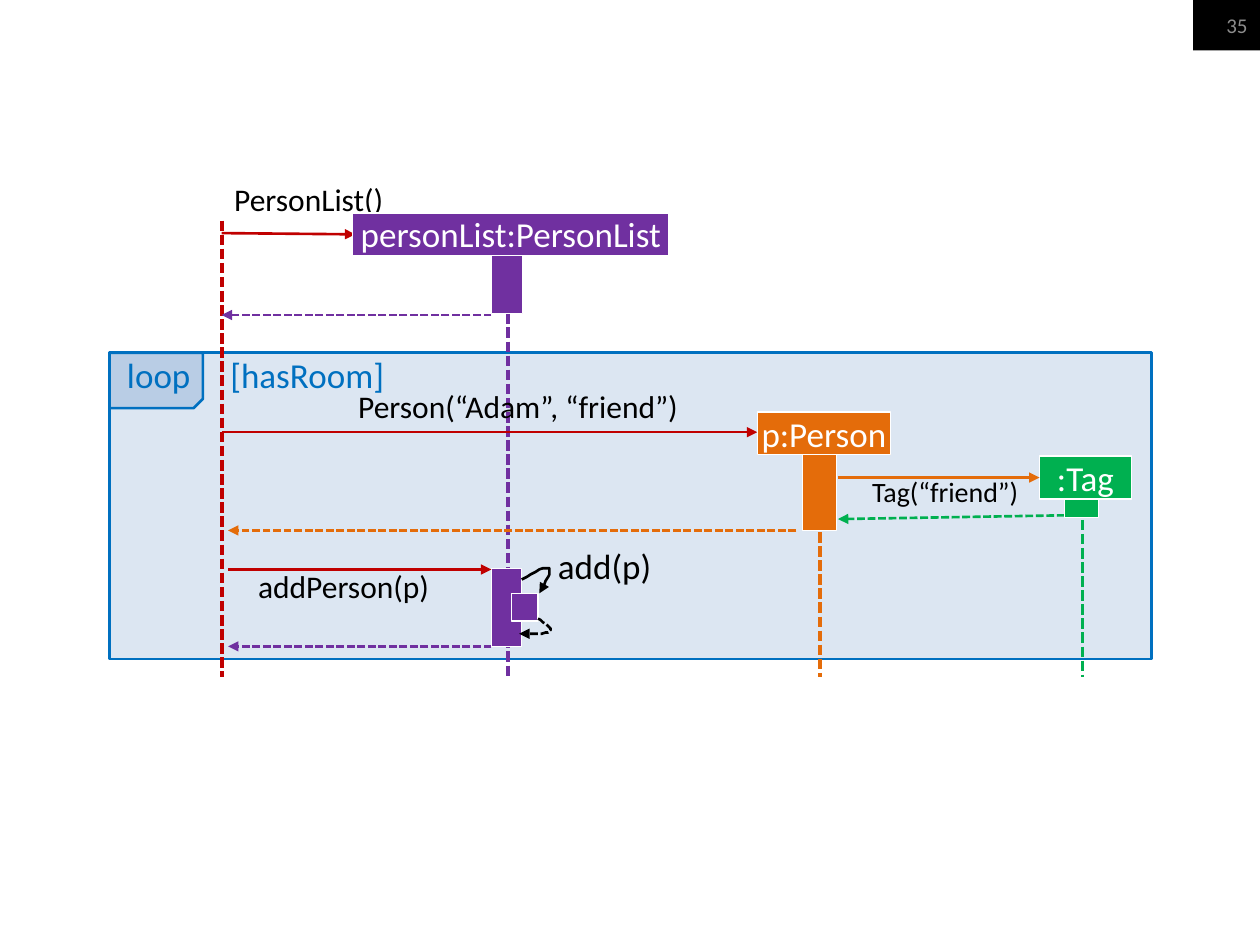
"""Build a sequence diagram slide on a grid of 1000 columns by 750 rows."""
from dataclasses import dataclass

from lxml import etree
from pptx import Presentation
from pptx.dml.color import RGBColor
from pptx.enum.dml import MSO_LINE
from pptx.enum.shapes import MSO_CONNECTOR, MSO_SHAPE
from pptx.enum.text import MSO_ANCHOR, MSO_AUTO_SIZE, PP_ALIGN
from pptx.oxml.ns import qn
from pptx.util import Inches, Pt

RECTANGLE, SNIPPED = MSO_SHAPE.RECTANGLE, MSO_SHAPE.SNIP_1_RECTANGLE
STRAIGHT, DASH = MSO_CONNECTOR.STRAIGHT, MSO_LINE.SQUARE_DOT
LEFT, CENTER, RIGHT = PP_ALIGN.LEFT, PP_ALIGN.CENTER, PP_ALIGN.RIGHT
TOP, MIDDLE = MSO_ANCHOR.TOP, MSO_ANCHOR.MIDDLE
GROW, FIXED = MSO_AUTO_SIZE.SHAPE_TO_FIT_TEXT, MSO_AUTO_SIZE.NONE

WHITE = RGBColor(0xFF, 0xFF, 0xFF)
BLACK = RGBColor(0x00, 0x00, 0x00)
GREY = RGBColor(0x8C, 0x8C, 0x8C)
BLUE = RGBColor(0x00, 0x70, 0xC0)
PALE_BLUE = RGBColor(0xDC, 0xE6, 0xF2)
LIGHT_BLUE = RGBColor(0xB9, 0xCD, 0xE5)
RED = RGBColor(0xC0, 0x00, 0x00)
PURPLE = RGBColor(0x70, 0x30, 0xA0)
ORANGE = RGBColor(0xE4, 0x6C, 0x0A)
GREEN = RGBColor(0x00, 0xB0, 0x50)

FONT = "Calibri"
COLUMNS, ROWS = 1000, 750
CELL = Inches(0.01)
CLIENT, LIST, PERSON, TAG = 176, 403, 651, 859
CLIENT_EDGE, LIST_EDGE, PERSON_EDGE = 181, 390, 665
LIFELINE_END = 537
CURVE_STEPS = 8

Box = tuple[int, int, int, int]
Point = tuple[float, float]


@dataclass
class Block:
    """A filled shape, with or without a caption."""
    box: Box
    fill: RGBColor
    text: str = ""
    line: RGBColor | None = WHITE
    line_width: float = 0.75
    snipped: bool = False


@dataclass
class Label:
    """A text box."""
    box: Box
    text: str
    size: int = 18
    color: RGBColor = BLACK
    align: PP_ALIGN = LEFT
    anchor: MSO_ANCHOR = TOP
    tab: int = 0


@dataclass
class Link:
    """A straight lifeline or message."""
    start: Point
    end: Point
    color: RGBColor
    dashed: bool = False
    arrow: bool = True


@dataclass
class Curve:
    """A self call made of Bezier pieces that share their end points."""
    points: list[Point]
    dashed: bool = False


def lifeline(column: int, top: int, color: RGBColor) -> Link:
    """Return the dashed lifeline of one participant."""
    return Link((column, top), (column, LIFELINE_END), color, True, False)


def style_line(shape, color: RGBColor, width: float, dashed: bool, arrow: bool) -> None:
    """Format a line and add its arrowhead."""
    shape.line.color.rgb = color
    shape.line.width = Pt(width)
    if dashed:
        shape.line.dash_style = DASH
    if arrow:
        etree.SubElement(shape.line._get_or_add_ln(), qn("a:tailEnd"), type="triangle")


def write_text(shape, text: str, size: int, color: RGBColor, align: PP_ALIGN, anchor: MSO_ANCHOR):
    """Write one paragraph and return it."""
    frame = shape.text_frame
    frame.word_wrap = True
    frame.vertical_anchor = anchor
    frame.text = text
    paragraph = frame.paragraphs[0]
    paragraph.alignment = align
    for run in paragraph.runs:
        run.font.name, run.font.size = FONT, Pt(size)
        run.font.color.rgb = color
    return paragraph


def draw_block(slide, block: Block):
    """Draw a filled shape and return it."""
    kind = SNIPPED if block.snipped else RECTANGLE
    shape = slide.shapes.add_shape(kind, *(cells * CELL for cells in block.box))
    shape.shadow.inherit = False
    shape.fill.solid()
    shape.fill.fore_color.rgb = block.fill
    if block.line is None:
        shape.line.fill.background()
    else:
        style_line(shape, block.line, block.line_width, False, False)
    if block.snipped:
        shape._element.spPr.find(qn("a:xfrm")).set("flipV", "1")
    if block.text:
        write_text(shape, block.text, 20, WHITE, CENTER, TOP)
        frame = shape.text_frame
        frame.margin_left = frame.margin_right = frame.margin_top = frame.margin_bottom = 0
    return shape


def draw_label(slide, label: Label) -> None:
    """Draw a text box, with a tab stop if it has one."""
    shape = slide.shapes.add_textbox(*(cells * CELL for cells in label.box))
    paragraph = write_text(shape, label.text, label.size, label.color, label.align, label.anchor)
    shape.text_frame.auto_size = FIXED if label.tab else GROW
    if label.tab:
        stops = etree.SubElement(paragraph._p.get_or_add_pPr(), qn("a:tabLst"))
        etree.SubElement(stops, qn("a:tab"), pos=str(label.tab * CELL), algn="l")


def draw_link(slide, link: Link) -> None:
    """Draw a straight connector."""
    ends = (round(cells * CELL) for cells in (*link.start, *link.end))
    connector = slide.shapes.add_connector(STRAIGHT, *ends)
    style_line(connector, link.color, 1.5 if link.arrow else 2, link.dashed, link.arrow)
    etree.SubElement(connector._element.spPr, qn("a:effectLst"))


def bezier(points: list[Point], share: float) -> Point:
    """Return the point at a share of a Bezier piece."""
    while len(points) > 1:
        points = [(a + (c - a) * share, b + (d - b) * share)
                  for (a, b), (c, d) in zip(points, points[1:])]
    return points[0]


def draw_curve(slide, curve: Curve) -> None:
    """Draw an open curve with an arrowhead."""
    vertices = [bezier(curve.points[first:first + 4], step / CURVE_STEPS)
                for first in range(0, len(curve.points) - 1, 3)
                for step in range(1, CURVE_STEPS + 1)]
    builder = slide.shapes.build_freeform(*curve.points[0], scale=CELL)
    builder.add_line_segments(vertices, close=False)
    shape = builder.convert_to_shape()
    shape.shadow.inherit = False
    shape.fill.background()
    style_line(shape, BLACK, 1.5, curve.dashed, True)


DRAWERS = {Block: draw_block, Label: draw_label, Link: draw_link, Curve: draw_curve}

ELEMENTS = [
    Block((87, 280, 827, 243), PALE_BLUE, line=BLUE, line_width=1.5),
    Block((87, 280, 74, 44), LIGHT_BLUE, line=BLUE, line_width=1.5, snipped=True),
    Label((91, 276, 330, 42), "loop\t[hasRoom]", 20, BLUE, anchor=MIDDLE, tab=82),
    lifeline(PERSON, 344, ORANGE),
    lifeline(LIST, 204, PURPLE),
    Block((LIST_EDGE, 202, 25, 47), PURPLE),
    lifeline(CLIENT, 175, RED),
    Link((CLIENT, 343), (601, 343), RED),
    Block((637, 360, 27, 61), ORANGE),
    Link((632, 421), (CLIENT_EDGE, 421), ORANGE, True),
    Block((601, 327, 106, 34), ORANGE, "p:Person"),
    Link((LIST_EDGE, 250), (CLIENT, 250), PURPLE, True),
    Label((224, 302, 324, 40), "Person(“Adam”, “friend”)", align=RIGHT),
    Link((845, 409), (PERSON_EDGE, 412), GREEN, True),
    lifeline(TAG, 379, GREEN),
    Block((845, 395, 27, 16), GREEN),
    Block((825, 362, 73, 34), GREEN, ":Tag"),
    Link((PERSON_EDGE, 379), (825, 379), ORANGE),
    Label((672, 372, 146, 37), "Tag(“friend”)", 16, align=RIGHT),
    Link((LIST_EDGE, 513), (CLIENT_EDGE, 513), PURPLE, True),
    Label((195, 445, 182, 40), "addPerson(p)"),
    Block((LIST_EDGE, 451, 24, 62), PURPLE),
    Link((CLIENT_EDGE, 452), (LIST_EDGE, 452), RED),
    Block((406, 471, 21, 22), PURPLE),
    Curve([(414, 460), (424, 454), (434, 449), (436, 451), (438, 453), (433, 462), (428, 471)]),
    Label((433, 427, 102, 44), "add(p)", 20),
    Curve([(427, 491), (433, 495), (439, 499), (436, 501), (434, 503), (423, 503), (412, 503)], True),
    Label((CLIENT, 138, 141, 40), "PersonList()"),
    Link((CLIENT, 185), (282, 186), RED),
    Block((280, 169, 251, 34), PURPLE, "personList:PersonList"),
]


def main() -> None:
    """Build and save the presentation."""
    presentation = Presentation()
    presentation.slide_width, presentation.slide_height = COLUMNS * CELL, ROWS * CELL
    slide = presentation.slides.add_slide(presentation.slide_layouts[6])
    for element in ELEMENTS:
        DRAWERS[type(element)](slide, element)
    page_corner = draw_block(slide, Block((947, 0, 53, 40), BLACK, line=None))
    write_text(page_corner, "35", 12, GREY, RIGHT, MIDDLE)
    presentation.save("out.pptx")


main()
